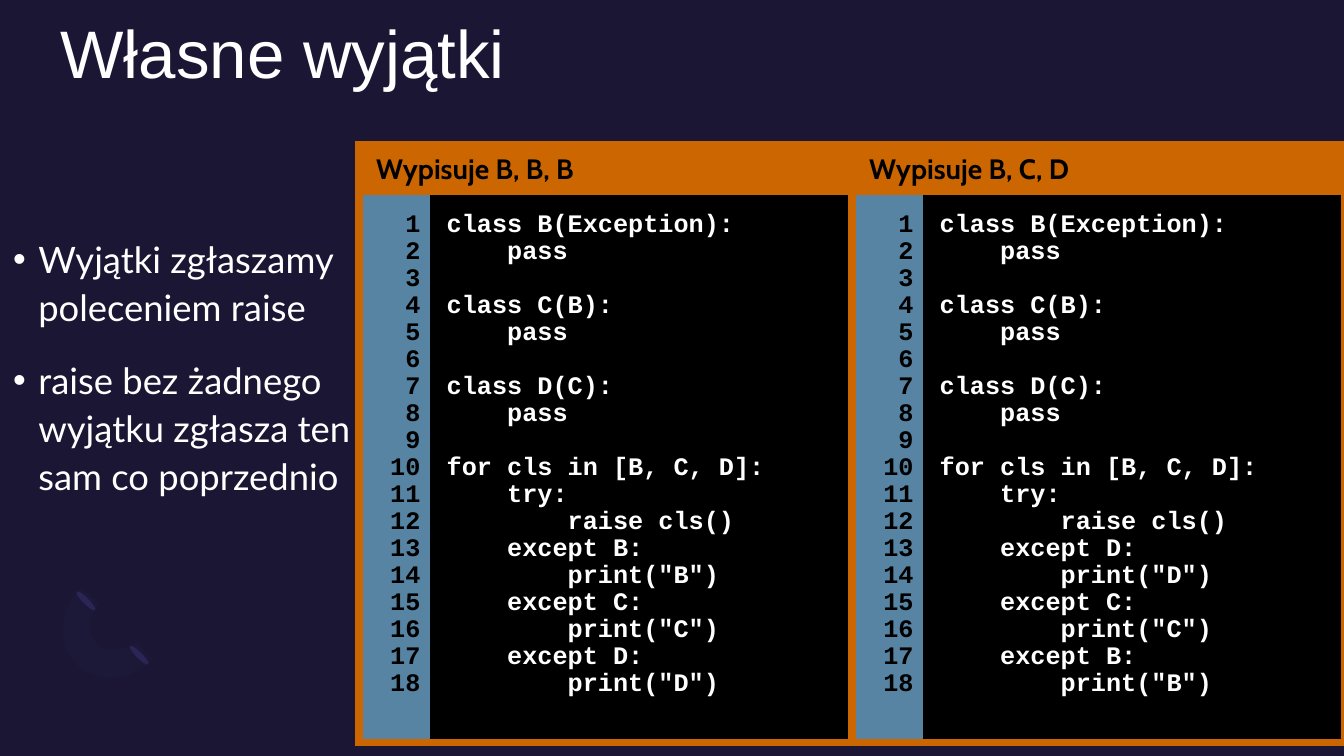
from lxml import etree
from pptx import Presentation
from pptx.dml.color import RGBColor
from pptx.enum.shapes import MSO_SHAPE
from pptx.enum.text import MSO_ANCHOR, PP_ALIGN
from pptx.oxml.ns import qn
from pptx.util import Inches, Pt

OVAL = MSO_SHAPE.OVAL
TOP = MSO_ANCHOR.TOP
LEFT, RIGHT = PP_ALIGN.LEFT, PP_ALIGN.RIGHT

COLORS = {
    "background": "1A1634",
    "text": "FFFFFF",
    "ink": "000000",
    "frame": "CC6600",
    "gutter": "5784A3",
    "dash": "292353",
    "smile": "7266BE",
}

TITLE = "Własne wyjątki"
BULLETS = [
    ["Wyjątki zgłaszamy", "poleceniem raise"],
    ["raise bez żadnego", "wyjątku zgłasza ten", "sam co poprzednio"],
]
CLASSES = [("B", "Exception"), ("C", "B"), ("D", "C")]
LISTINGS = [("Wypisuje B, B, B", "BCD"), ("Wypisuje B, C, D", "DCB")]
LOOP = ["for cls in [B, C, D]:", "    try:", "        raise cls()"]

TABLE_LEFT, TABLE_TOP = 3.56, 1.44
COLUMNS = [0.7, 4.19]
ROWS = [0.44, 5.23]
DASHES = [(1.35, 6.37), (0.82, 5.83)]
SMILE = [
    [(0.76, 6.59), (0.56, 6.39), (0.58, 6.05), (0.81, 5.82)],
    [(0.99, 6.0), (0.87, 6.11), (0.86, 6.29), (0.96, 6.38)],
    [(0.96, 6.38), (1.06, 6.48), (1.23, 6.47), (1.35, 6.36)],
    [(1.52, 6.54), (1.3, 6.76), (0.95, 6.79), (0.76, 6.59)],
]


def color(name):
    return RGBColor.from_string(COLORS[name])


def paint(fill, name):
    fill.solid()
    fill.fore_color.rgb = color(name)


def add_run(paragraph, text, face, size, name, bold=False):
    run = paragraph.add_run()
    run.text = text
    run.font.name = face
    run.font.size = Pt(size)
    run.font.bold = bold
    run.font.color.rgb = color(name)


def add_frame(slide, left, top, width, height):
    frame = slide.shapes.add_textbox(
        Inches(left), Inches(top), Inches(width), Inches(height)).text_frame
    frame.word_wrap = True
    frame.vertical_anchor = TOP
    frame.margin_left = frame.margin_right = 0
    frame.margin_top = frame.margin_bottom = 0
    return frame


def add_bullets(frame):
    for number, lines in enumerate(BULLETS):
        paragraph = frame.add_paragraph() if number else frame.paragraphs[0]
        paragraph.line_spacing = 1.1
        paragraph.space_before, paragraph.space_after = Pt(10), Pt(8)
        properties = paragraph._p.get_or_add_pPr()
        properties.set("marL", str(Inches(0.25)))
        properties.set("indent", str(-Inches(0.25)))
        etree.SubElement(properties, qn("a:buFont")).set("typeface", "Arial")
        etree.SubElement(properties, qn("a:buChar")).set("char", "•")
        for position, line in enumerate(lines):
            if position:
                paragraph.add_line_break()
            add_run(paragraph, line, "Lato", 26, "text")


def style_cell(cell, fill, margins, sides):
    properties = cell._tc.get_or_add_tcPr()
    for side in "LRTB":
        border = etree.SubElement(properties, qn("a:ln" + side))
        if side in sides:
            border.set("w", str(Pt(6)))
            solid = etree.SubElement(border, qn("a:solidFill"))
            etree.SubElement(solid, qn("a:srgbClr")).set("val", COLORS["frame"])
        else:
            border.set("w", "0")
            etree.SubElement(border, qn("a:noFill"))
    paint(cell.fill, fill)
    cell.vertical_anchor = TOP
    (cell.margin_left, cell.margin_top,
     cell.margin_right, cell.margin_bottom) = map(Inches, margins)


def write_lines(cell, lines, face, size, name, spacing, align=LEFT):
    frame = cell.text_frame
    for number, line in enumerate(lines):
        paragraph = frame.add_paragraph() if number else frame.paragraphs[0]
        paragraph.alignment = align
        paragraph.line_spacing = spacing
        paragraph.space_before = Pt(size * 0.2)
        properties = paragraph._p.get_or_add_pPr()
        properties.set("marL", str(Inches(0.12)))
        properties.set("indent", "0")
        if line:
            add_run(paragraph, line, face, size, name, True)
        else:
            ending = etree.SubElement(paragraph._p, qn("a:endParaRPr"))
            ending.set("sz", str(size * 100))
            etree.SubElement(ending, qn("a:latin")).set("typeface", face)


def add_listing(slide, left, heading, handlers):
    code = []
    for child, parent in CLASSES:
        code += [f"class {child}({parent}):", "    pass", ""]
    code += LOOP
    for handler in handlers:
        code += [f"    except {handler}:", f'        print("{handler}")']
    numbers = [str(number) for number in range(1, len(code) + 1)]

    table = slide.shapes.add_table(
        len(ROWS), len(COLUMNS), Inches(left), Inches(TABLE_TOP),
        Inches(sum(COLUMNS)), Inches(sum(ROWS))).table
    for column, width in zip(table.columns, COLUMNS):
        column.width = Inches(width)
    for row, height in zip(table.rows, ROWS):
        row.height = Inches(height)

    title, gutter, body = table.cell(0, 0), table.cell(1, 0), table.cell(1, 1)
    title.merge(table.cell(0, 1))
    for cell in (title, table.cell(0, 1)):
        style_cell(cell, "frame", (0.05, 0.05, 0.05, 0.05), "LRTB")
    style_cell(gutter, "gutter", (0.05, 0.23, 0.09, 0.23), "LTB")
    style_cell(body, "ink", (0.05, 0.23, 0.18, 0.23), "RTB")
    write_lines(title, [heading], "Cabin", 20, "ink", 1.07)
    write_lines(gutter, numbers, "Courier New", 18, "ink", 0.77, RIGHT)
    write_lines(body, code, "Courier New", 18, "text", 0.77)


def curve_points(controls, steps=12):
    a, b, c, d = controls
    for step in range(steps + 1):
        t = step / steps
        u = 1 - t
        yield tuple(
            Inches(u**3 * a[i] + 3 * u * u * t * b[i] + 3 * u * t * t * c[i] + t**3 * d[i])
            for i in (0, 1))


def add_decoration(slide):
    for left, top in DASHES:
        dash = slide.shapes.add_shape(
            OVAL, Inches(left), Inches(top), Inches(0.06), Inches(0.26))
        dash.rotation = 135
        dash.shadow.inherit = False
        paint(dash.fill, "dash")
        dash.line.fill.background()

    outline = [point for controls in SMILE for point in curve_points(controls)]
    builder = slide.shapes.build_freeform(*outline[0])
    builder.add_line_segments(outline[1:], close=True)
    smile = builder.convert_to_shape()
    smile.shadow.inherit = False
    paint(smile.fill, "smile")
    smile.line.fill.background()
    tint = smile._element.spPr.find(qn("a:solidFill"))[0]
    etree.SubElement(tint, qn("a:alpha")).set("val", "3000")


def main():
    deck = Presentation()
    deck.slide_width, deck.slide_height = Inches(13.33), Inches(7.5)
    slide = deck.slides.add_slide(deck.slide_layouts[6])
    paint(slide.background.fill, "background")
    add_decoration(slide)
    title = add_frame(slide, 0.6, 0.11, 12.13, 1.46)
    add_run(title.paragraphs[0], TITLE, "Arial", 48, "text")
    add_bullets(add_frame(slide, 0.13, 2.31, 12.13, 4.35))
    for position, (heading, handlers) in enumerate(LISTINGS):
        add_listing(slide, TABLE_LEFT + position * sum(COLUMNS), heading, handlers)
    deck.save("out.pptx")


if __name__ == "__main__":
    main()
